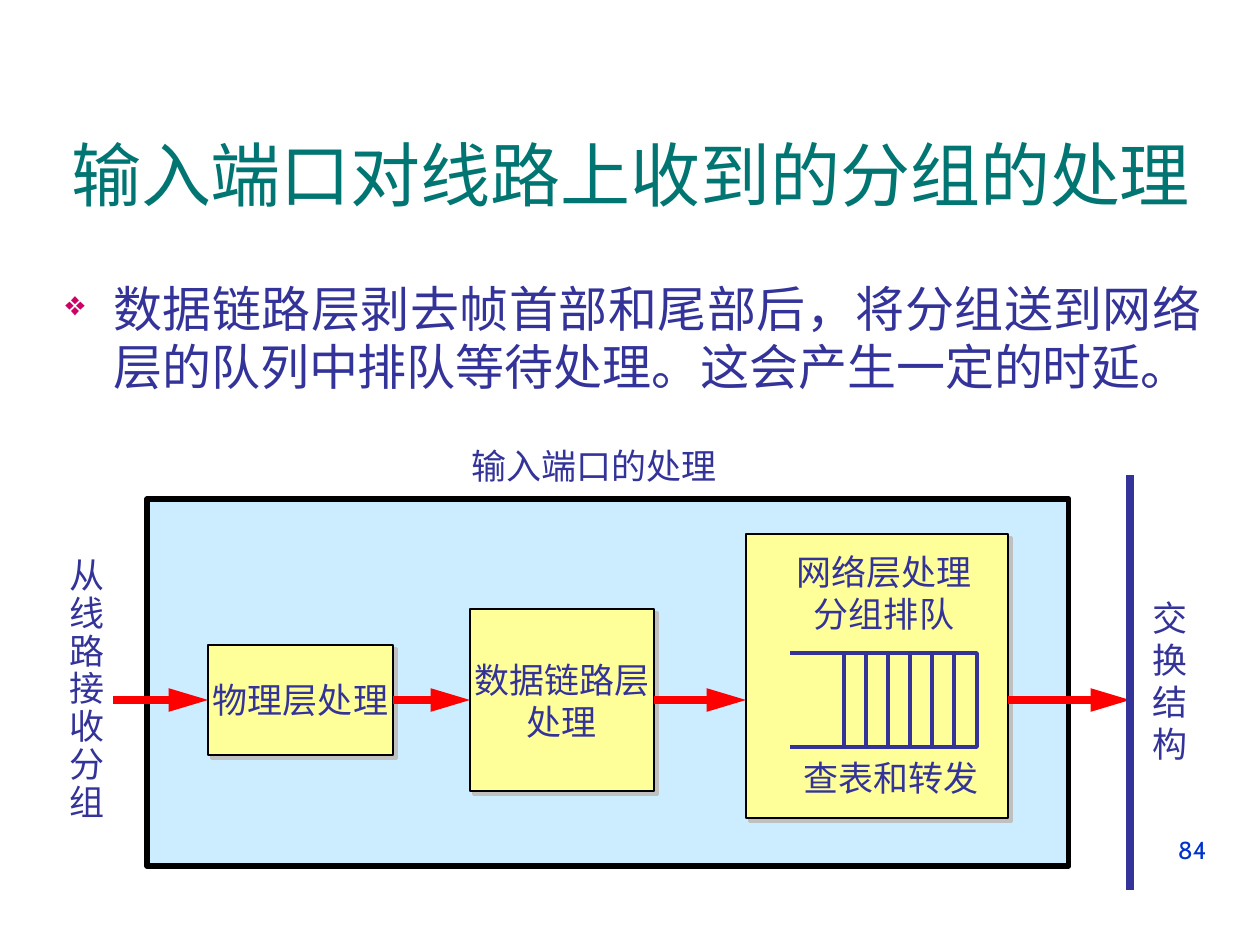
from typing import NamedTuple

import pptx
import pptx.dml.color
import pptx.enum.shapes
import pptx.enum.text
import pptx.oxml
import pptx.oxml.ns
import pptx.util

SCALE = 914400 / 126
NAVY, RED, BLACK = "333399", "FF0000", "000000"
YELLOW, SKY, GREY = "FFFF99", "CCECFF", "C0C0C0"
NS = pptx.oxml.ns.nsdecls("a")
ALIGN = pptx.enum.text.PP_ALIGN
ANCHOR = pptx.enum.text.MSO_ANCHOR
TOP, LEFT, BOTTOM, RIGHT = range(4)
MID = 700


class Box(NamedTuple):
    x: int
    y: int
    w: int
    h: int


class Stage(NamedTuple):
    box: Box
    lines: list[str]


class Label(NamedTuple):
    box: Box
    lines: list[str]
    align: ALIGN = ALIGN.LEFT
    size: int = 20
    font: str = "Arial"
    color: str = NAVY
    wrap: bool = False
    gap: float = 1.0
    anchor: ANCHOR = ANCHOR.TOP


STAGES = [
    Stage(Box(208, 645, 185, 110), ["物理层处理"]),
    Stage(Box(470, 609, 184, 182), ["数据链路层", "处理"]),
    Stage(Box(746, 534, 262, 284), []),
]
TITLE = Label(Box(42, 95, 1177, 157), ["输入端口对线路上收到的分组的处理"],
              ALIGN.CENTER, 40, color="007572", wrap=True, anchor=ANCHOR.MIDDLE)
BODY = Label(Box(53, 272, 1162, 190),
             ["数据链路层剥去帧首部和尾部后，将分组送到网络层的队列中排队等待处理。"
              "这会产生一定的时延。"],
             ALIGN.JUSTIFY, 28, "Cabin", wrap=True)
NUMBER = Label(Box(903, 829, 316, 66), ["84"], ALIGN.RIGHT, 14, "Cabin",
               "0033CC", wrap=True)
NOTES = [
    Label(Box(774, 544, 220, 97), ["网络层处理", "分组排队"], ALIGN.CENTER),
    Label(Box(1140, 590, 60, 180), list("交换结构")),
    Label(Box(449, 438, 290, 54), ["输入端口的处理"], ALIGN.CENTER),
    Label(Box(57, 552, 60, 277), list("从线路接收分组"), gap=0.9),
    Label(Box(781, 750, 220, 54), ["查表和转发"], ALIGN.CENTER),
]


def px(n: int) -> pptx.util.Emu:
    return pptx.util.Emu(round(n * SCALE))


def rgb(code: str) -> pptx.dml.color.RGBColor:
    return pptx.dml.color.RGBColor.from_string(code)


def paint(shape, fill: str, line: str, width: float) -> None:
    shape.shadow.inherit = False
    shape.fill.solid()
    shape.fill.fore_color.rgb = rgb(fill)
    shape.line.color.rgb = rgb(line)
    shape.line.width = pptx.util.Pt(width)


def write(frame, label: Label) -> None:
    frame.word_wrap = label.wrap
    frame.vertical_anchor = label.anchor
    for i, line in enumerate(label.lines):
        para = frame.add_paragraph() if i else frame.paragraphs[0]
        para.alignment = label.align
        para.line_spacing = label.gap
        run = para.add_run()
        run.text = line
        run.font.size = pptx.util.Pt(label.size)
        run.font.name = label.font
        run.font.color.rgb = rgb(label.color)


def add_text(slide, label: Label):
    box = slide.shapes.add_textbox(*map(px, label.box))
    write(box.text_frame, label)
    return box


def add_bullet(para) -> None:
    props = para._p.get_or_add_pPr()
    props.set("marL", str(px(48)))
    props.set("indent", str(-px(48)))
    for tag in ('<a:buClr {}><a:srgbClr val="CC0066"/></a:buClr>',
                '<a:buSzPct {} val="70000"/>',
                '<a:buChar {} char="❖"/>'):
        props.append(pptx.oxml.parse_xml(tag.format(NS)))


def add_rect(slide, box: Box, fill: str, width: float):
    rect = slide.shapes.add_shape(
        pptx.enum.shapes.MSO_SHAPE.RECTANGLE, *map(px, box))
    paint(rect, fill, BLACK, width)
    return rect


def add_stage(slide, stage: Stage):
    rect = add_rect(slide, stage.box, YELLOW, 1.5)
    effects = rect._element.spPr.find(pptx.oxml.ns.qn("a:effectLst"))
    effects.append(pptx.oxml.parse_xml(
        f'<a:outerShdw {NS} dist="{pptx.util.Pt(2.8)}" dir="2700000">'
        f'<a:srgbClr val="{GREY}"/></a:outerShdw>'))
    write(rect.text_frame, Label(stage.box, stage.lines, ALIGN.CENTER,
                                 anchor=ANCHOR.MIDDLE))
    return rect


def add_line(slide, x1: int, y1: int, x2: int, y2: int, color: str, width: float):
    line = slide.shapes.add_connector(
        pptx.enum.shapes.MSO_CONNECTOR.STRAIGHT, px(x1), px(y1), px(x2), px(y2))
    line.line.color.rgb = rgb(color)
    line.line.width = pptx.util.Pt(width)
    line._element.spPr.append(pptx.oxml.parse_xml(f"<a:effectLst {NS}/>"))
    return line


def add_arrow(slide, x1: int, x2: int):
    arrow = add_line(slide, x1, MID, x2, MID, RED, 4.5)
    arrow.line._get_or_add_ln().append(
        pptx.oxml.parse_xml(f'<a:tailEnd {NS} type="triangle" len="lg"/>'))
    return arrow


def add_queue(slide) -> None:
    left, right, top, base = 790, 977, 653, 747
    build = slide.shapes.build_freeform(px(left), px(top))
    build.add_line_segments(
        [(px(right), px(top)), (px(right), px(base)), (px(left), px(base))],
        close=False)
    paint(build.convert_to_shape(), YELLOW, NAVY, 2.25)
    for x in range(844, right - 20, 22):
        add_line(slide, x, top, x, base, NAVY, 2.25)


def main() -> None:
    deck = pptx.Presentation()
    deck.slide_width, deck.slide_height = px(1260), px(945)
    slide = deck.slides.add_slide(deck.slide_layouts[6])

    add_text(slide, NUMBER)
    add_text(slide, TITLE)
    body = add_text(slide, BODY)
    add_bullet(body.text_frame.paragraphs[0])

    add_rect(slide, Box(147, 499, 922, 367), SKY, 3)
    phys, link, _ = [add_stage(slide, stage) for stage in STAGES]
    add_arrow(slide, 113, 208).end_connect(phys, LEFT)
    hop = add_arrow(slide, 393, 470)
    hop.begin_connect(phys, RIGHT)
    hop.end_connect(link, LEFT)
    add_arrow(slide, 654, 746).begin_connect(link, RIGHT)
    add_arrow(slide, 1008, 1130)
    add_line(slide, 1130, 475, 1130, 890, NAVY, 4.5)

    add_queue(slide)
    for note in NOTES:
        add_text(slide, note)
    deck.save("out.pptx")


if __name__ == "__main__":
    main()
